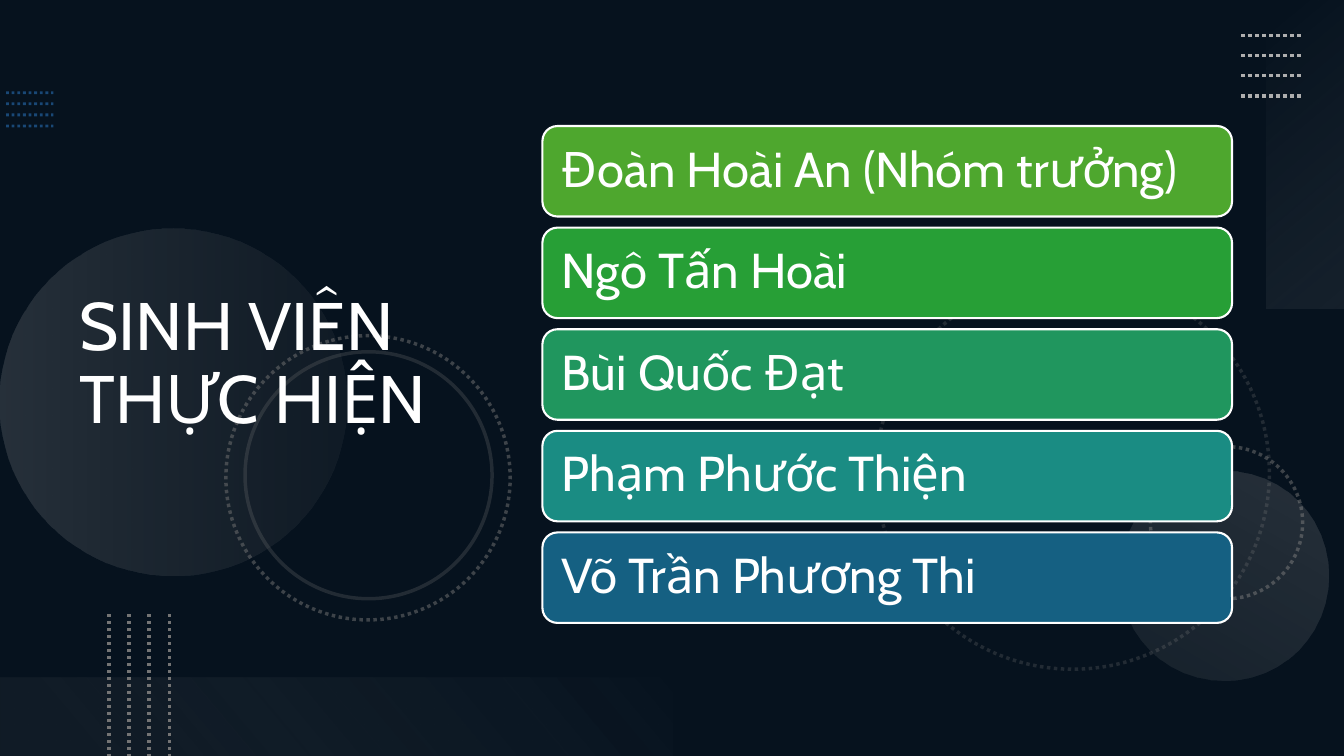
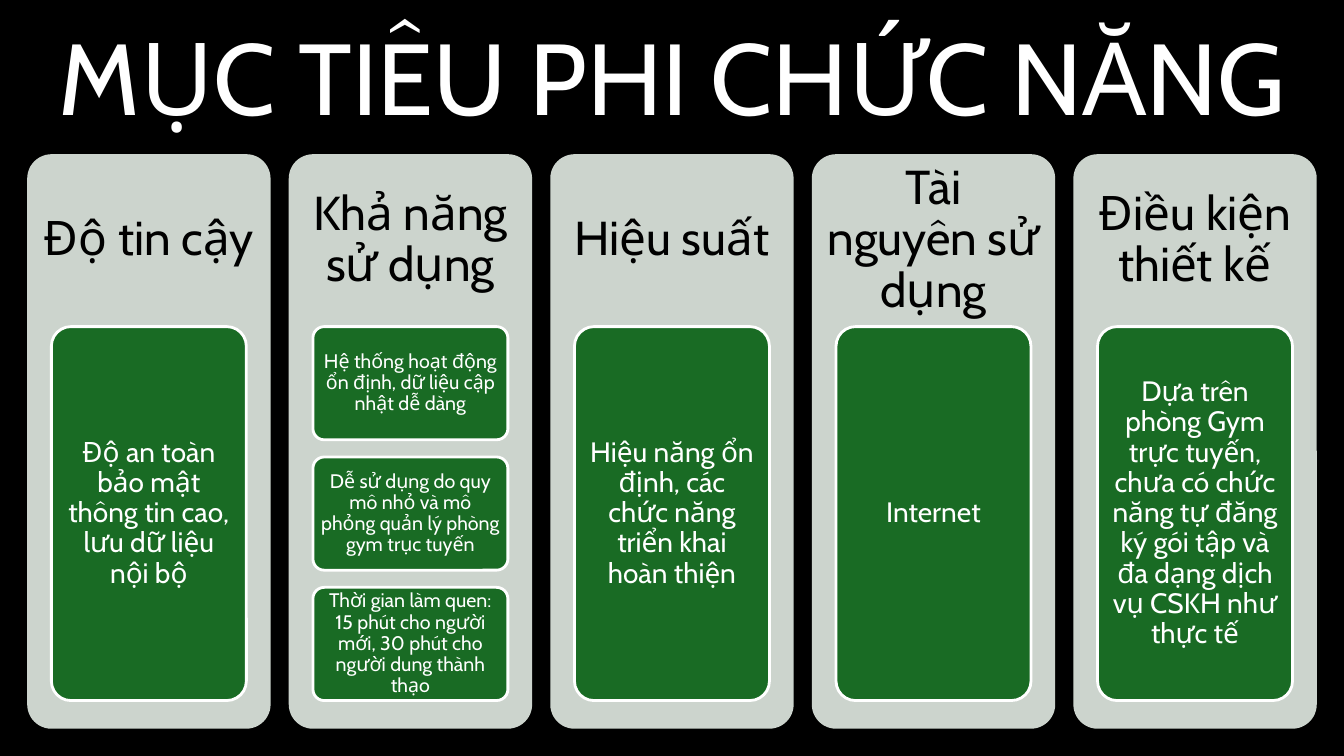
"""Build two slides: the student team and the non-functional goals."""
from dataclasses import dataclass

from lxml.etree import SubElement
from pptx import Presentation
from pptx.dml.color import RGBColor
from pptx.enum.dml import MSO_LINE
from pptx.enum.shapes import MSO_CONNECTOR, MSO_SHAPE
from pptx.enum.text import MSO_ANCHOR, MSO_AUTO_SIZE, PP_ALIGN
from pptx.oxml import parse_xml
from pptx.oxml.ns import nsdecls, qn
from pptx.util import Inches, Pt


@dataclass(frozen=True)
class Theme:
    font: str = "Cabin"
    white: str = "FFFFFF"
    black: str = "000000"
    navy: str = "0E2841"
    blue: str = "2D7FCF"
    gray: str = "747474"
    silver: str = "AEAEAE"
    mist: str = "F6F6F6"
    column: str = "CCD4CD"
    card: str = "196B24"
    team_title: int = 48
    goals_title: int = 72
    member: int = 35
    heading: int = 34
    card_text: int = 20
    small_card_text: int = 14


THEME = Theme()
SLIDE_WIDTH, SLIDE_HEIGHT = 13.33, 7.5

MEMBERS = [
    ("Đoàn Hoài An (Nhóm trưởng)", "4EA72E"),
    ("Ngô Tấn Hoài", "279F36"),
    ("Bùi Quốc Đạt", "20965E"),
    ("Phạm Phước Thiện", "1A8C83"),
    ("Võ Trần Phương Thi", "156082"),
]

GOALS = [
    ("Độ tin cậy", ["Độ an toàn bảo mật thông tin cao, lưu dữ liệu nội bộ"]),
    ("Khả năng sử dụng", [
        "Hệ thống hoạt động ổn định, dữ liệu cập nhật dễ dàng",
        "Dễ sử dụng do quy mô nhỏ và mô phỏng quản lý phòng gym trục tuyến",
        "Thời gian làm quen: 15 phút cho người mới, 30 phút cho người dung thành thạo",
    ]),
    ("Hiệu suất", ["Hiệu năng ổn định, các chức năng triển khai hoàn thiện"]),
    ("Tài nguyên sử dụng", ["Internet"]),
    ("Điều kiện thiết kế", [
        "Dựa trên phòng Gym trực tuyến, chưa có chức năng tự đăng ký gói tập "
        "và đa dạng dịch vụ CSKH như thực tế",
    ]),
]


def tracks(start, total, count, gap):
    """Return the starts and the common size of equal tracks."""
    size = (total - gap * (count - 1)) / count
    return [start + index * (size + gap) for index in range(count)], size


def set_opacity(element, percent):
    """Make the first colour inside an element translucent."""
    color = next(element.iter(qn("a:srgbClr")))
    SubElement(color, qn("a:alpha")).set("val", str(percent * 1000))


def style_line(shape, color, width, opacity=100, dotted=False):
    """Format an outline or a connector."""
    shape.line.color.rgb = RGBColor.from_string(color)
    shape.line.width = Pt(width)
    if dotted:
        shape.line.dash_style = MSO_LINE.ROUND_DOT
    if opacity < 100:
        set_opacity(shape.element.spPr.find(qn("a:ln")), opacity)


def add_plain_shape(slide, kind, box, rotation=0):
    """Add a preset shape with no shadow and no outline."""
    shape = slide.shapes.add_shape(kind, *map(Inches, box))
    shape.shadow.inherit = False
    shape.line.fill.background()
    shape.rotation = rotation
    return shape


def fill_solid(shape, color):
    """Fill a shape with one colour."""
    shape.fill.solid()
    shape.fill.fore_color.rgb = RGBColor.from_string(color)


def fill_gradient(shape, stops, angle):
    """Fill a shape with a linear gradient of (position, colour, opacity) stops."""
    stop_xml = "".join(
        f'<a:gs pos="{position * 1000}"><a:srgbClr val="{color}">'
        f'<a:alpha val="{opacity * 1000}"/></a:srgbClr></a:gs>'
        for position, color, opacity in stops
    )
    gradient = parse_xml(
        f'<a:gradFill rotWithShape="1" {nsdecls("a")}><a:gsLst>{stop_xml}</a:gsLst>'
        f'<a:lin ang="{angle * 60000}" scaled="0"/></a:gradFill>'
    )
    shape.element.spPr.find(qn("a:prstGeom")).addnext(gradient)


def add_ring(slide, box, rotation, opacity, dotted=True):
    """Add an unfilled circle."""
    ring = add_plain_shape(slide, MSO_SHAPE.OVAL, box, rotation)
    ring.fill.background()
    style_line(ring, THEME.gray, 2.5, opacity, dotted)


def add_glow(slide, kind, box, rotation, stops, angle):
    """Add a translucent gradient shape."""
    fill_gradient(add_plain_shape(slide, kind, box, rotation), stops, angle)


def add_dotted_lines(slide, start, end, step, color, width, opacity=100):
    """Add four parallel dotted lines, each shifted by one step."""
    for index in range(4):
        shift_x, shift_y = step[0] * index, step[1] * index
        line = slide.shapes.add_connector(
            MSO_CONNECTOR.STRAIGHT,
            Inches(start[0] + shift_x), Inches(start[1] + shift_y),
            Inches(end[0] + shift_x), Inches(end[1] + shift_y),
        )
        style_line(line, color, width, opacity, dotted=True)
        SubElement(line.element.spPr, qn("a:effectLst"))


def write_text(shape, text, size, color, align, margins=(0.1, 0.05)):
    """Write one vertically centred paragraph into a shape."""
    frame = shape.text_frame
    frame.word_wrap = True
    frame.auto_size = MSO_AUTO_SIZE.NONE
    frame.vertical_anchor = MSO_ANCHOR.MIDDLE
    frame.margin_left = frame.margin_right = Inches(margins[0])
    frame.margin_top = frame.margin_bottom = Inches(margins[1])
    paragraph = frame.paragraphs[0]
    paragraph.alignment = align
    paragraph.line_spacing = 0.9
    run = paragraph.add_run()
    run.text = text
    run.font.name = THEME.font
    run.font.size = Pt(size)
    run.font.color.rgb = RGBColor.from_string(color)


def add_slide(presentation, background):
    """Add a title-only slide with a solid background."""
    slide = presentation.slides.add_slide(presentation.slide_layouts[5])
    slide.background.fill.solid()
    slide.background.fill.fore_color.rgb = RGBColor.from_string(background)
    return slide


def place_title(slide, text, box, size, align):
    """Place the title in front of everything drawn so far."""
    title = slide.shapes.title
    title.left, title.top, title.width, title.height = map(Inches, box)
    write_text(title, text, size, THEME.white, align)
    title.element.getparent().append(title.element)


def add_box(slide, box, color, outline=None, corner=None):
    """Add a filled rounded rectangle."""
    shape = add_plain_shape(slide, MSO_SHAPE.ROUNDED_RECTANGLE, box)
    fill_solid(shape, color)
    if corner is not None:
        shape.adjustments[0] = corner
    if outline:
        style_line(shape, THEME.white, outline)
    return shape


def add_decoration(slide):
    """Draw the dimmed backdrop with circles, bands and dotted lines."""
    gray, silver = THEME.gray, THEME.silver
    oval, rectangle = MSO_SHAPE.OVAL, MSO_SHAPE.RECTANGLE
    shade = add_plain_shape(slide, rectangle, (0, 0, SLIDE_WIDTH, SLIDE_HEIGHT))
    fill_solid(shade, THEME.black)
    set_opacity(shade.element.spPr, 53)
    add_dotted_lines(slide, (0.06, 0.92), (0.53, 0.92), (0, 0.11), THEME.blue, 2, 50)
    add_ring(slide, (8.69, 2.74, 3.9, 3.9), 75, 25)
    add_ring(slide, (11.41, 4.43, 1.51, 1.51), 270, 50)
    add_glow(slide, oval, (0, 2.27, 3.44, 3.44), 270,
             [(0, silver, 20), (100, gray, 10)], 90)
    add_glow(slide, oval, (11.1, 4.67, 2.08, 2.08), 210,
             [(0, silver, 10), (100, silver, 20)], 90)
    add_ring(slide, (2.24, 3.33, 2.82, 2.82), 75, 50)
    add_ring(slide, (2.43, 3.49, 2.45, 2.45), 75, 25, dotted=False)
    add_glow(slide, rectangle, (11.42, 1.14, 3.06, 0.78), 270,
             [(0, THEME.mist, 0), (100, silver, 10)], 140)
    add_dotted_lines(slide, (12.31, 0.35), (12.91, 0.35), (0, 0.2), silver, 2.5)
    add_glow(slide, rectangle, (0, 6.72, 6.67, 0.78), 180,
             [(10, gray, 10), (100, THEME.mist, 0)], 140)
    add_dotted_lines(slide, (1.08, 6.09), (1.08, 7.5), (0.2, 0), gray, 2.5)


def build_team_slide(presentation):
    """Build the slide that lists the students."""
    slide = add_slide(presentation, THEME.navy)
    add_decoration(slide)
    place_title(slide, "SINH VIÊN THỰC HIỆN", (0.69, 0.54, 4.59, 6.17),
                THEME.team_title, PP_ALIGN.LEFT)
    tops, height = tracks(1.25, 4.93, len(MEMBERS), 0.11)
    for top, (name, color) in zip(tops, MEMBERS):
        bar = add_box(slide, (5.38, top, 6.84, height), color, outline=1.5)
        write_text(bar, name, THEME.member, THEME.white, PP_ALIGN.LEFT, (0.15, 0.15))


def add_goal_column(slide, left, width, heading, notes):
    """Add one column with its heading and evenly stacked cards."""
    add_box(slide, (left, 1.53, width, 5.7), THEME.column, corner=0.1)
    label = slide.shapes.add_textbox(*map(Inches, (left, 1.53, width, 1.71)))
    write_text(label, heading, THEME.heading, THEME.black, PP_ALIGN.CENTER, (0.14, 0.14))
    single = len(notes) == 1
    size = THEME.card_text if single else THEME.small_card_text
    margins = (0.06, 0.04) if single else (0.04, 0.03)
    tops, height = tracks(3.24, 3.71, len(notes), 0.17)
    for top, note in zip(tops, notes):
        card = add_box(slide, (left + 0.24, top, width - 0.48, height),
                       THEME.card, outline=2, corner=0.1)
        write_text(card, note, size, THEME.white, PP_ALIGN.CENTER, margins)


def build_goals_slide(presentation):
    """Build the slide of non-functional goals."""
    slide = add_slide(presentation, THEME.black)
    place_title(slide, "MỤC TIÊU PHI CHỨC NĂNG", (0, 0.12, SLIDE_WIDTH, 1.41),
                THEME.goals_title, PP_ALIGN.CENTER)
    lefts, width = tracks(0.27, SLIDE_WIDTH - 0.54, len(GOALS), 0.18)
    for left, (heading, notes) in zip(lefts, GOALS):
        add_goal_column(slide, left, width, heading, notes)


def main():
    """Build and save the presentation."""
    presentation = Presentation()
    presentation.slide_width = Inches(SLIDE_WIDTH)
    presentation.slide_height = Inches(SLIDE_HEIGHT)
    build_team_slide(presentation)
    build_goals_slide(presentation)
    presentation.save("out.pptx")


if __name__ == "__main__":
    main()
